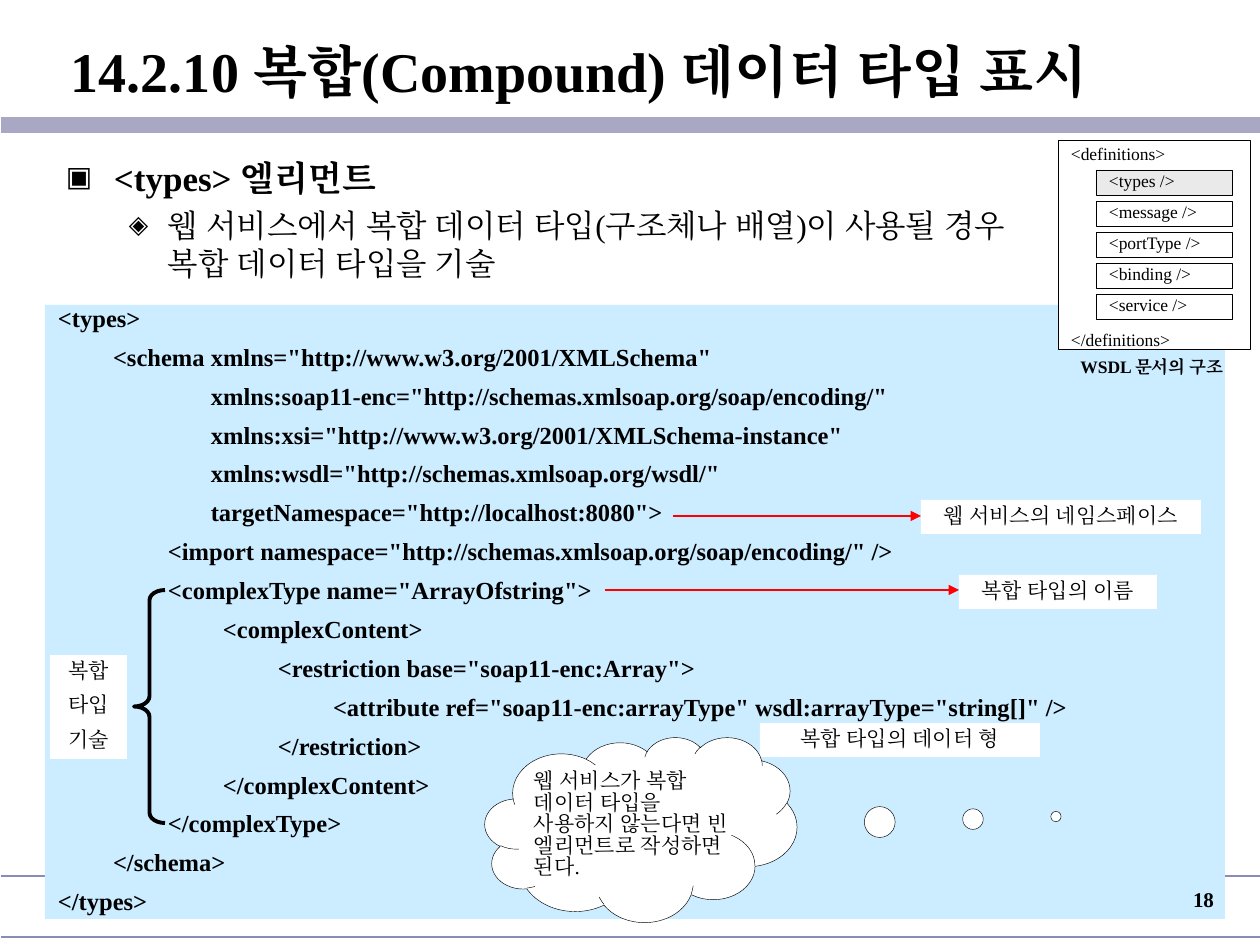
import lxml.etree
import pptx
import pptx.dml.color
import pptx.enum.shapes
import pptx.enum.text
import pptx.oxml.ns
import pptx.util

SCALE = 914400 / 126
FONT = "Times New Roman"
SHAPES = pptx.enum.shapes.MSO_SHAPE
ALIGN = pptx.enum.text.PP_ALIGN
ANCHOR = pptx.enum.text.MSO_ANCHOR

CODE_LINES = [
    "<types>",
    "\t<schema xmlns=\"http://www.w3.org/2001/XMLSchema\"",
    "\t\t       xmlns:soap11-enc=\"http://schemas.xmlsoap.org/soap/encoding/\"",
    "\t\t       xmlns:xsi=\"http://www.w3.org/2001/XMLSchema-instance\"",
    "\t\t       xmlns:wsdl=\"http://schemas.xmlsoap.org/wsdl/\"",
    "\t\t       targetNamespace=\"http://localhost:8080\">",
    "\t\t<import namespace=\"http://schemas.xmlsoap.org/soap/encoding/\" />",
    "\t\t<complexType name=\"ArrayOfstring\">",
    "\t\t\t<complexContent>",
    "\t\t\t\t<restriction base=\"soap11-enc:Array\">",
    "\t\t\t\t\t<attribute ref=\"soap11-enc:arrayType\" wsdl:arrayType=\"string[]\" />",
    "\t\t\t\t</restriction>",
    "\t\t\t</complexContent>",
    "\t\t</complexType>",
    "\t</schema>",
    "</types>",
]


def px(length):
    return pptx.util.Emu(round(length * SCALE))


def color(hex_string):
    return pptx.dml.color.RGBColor.from_string(hex_string)


def add_element(parent, tag, **attributes):
    return lxml.etree.SubElement(parent, pptx.oxml.ns.qn(tag), attributes)


def write_text(frame, lines, size=12, bold=False, align=ALIGN.LEFT, anchor=ANCHOR.TOP,
               spacing=0.85, before=0, wrap=True, margins=(13, 6, 13, 6)):
    frame.word_wrap = wrap
    frame.vertical_anchor = anchor
    frame.margin_left, frame.margin_top, frame.margin_right, frame.margin_bottom = map(px, margins)
    for index, line in enumerate(lines):
        paragraph = frame.add_paragraph() if index else frame.paragraphs[0]
        paragraph.alignment = align
        paragraph.line_spacing = spacing
        paragraph.space_before = pptx.util.Pt(before if index else 0)
        run = paragraph.add_run()
        run.text = line
        run.font.size = pptx.util.Pt(size)
        run.font.bold = bold
        run.font.color.rgb = color("000000")
        run.font.name = FONT
        add_element(run._r.get_or_add_rPr(), "a:ea", typeface=FONT)
    return frame.paragraphs


def add_text(slide, box, lines, **text_format):
    frame = slide.shapes.add_textbox(*map(px, box)).text_frame
    return write_text(frame, lines, **text_format)


def add_box(slide, box, fill="FFFFFF", outline=None, width=0.25, kind=SHAPES.RECTANGLE):
    shape = slide.shapes.add_shape(kind, *map(px, box))
    shape.shadow.inherit = False
    if fill:
        shape.fill.solid()
        shape.fill.fore_color.rgb = color(fill)
    else:
        shape.fill.background()
    if outline:
        shape.line.color.rgb = color(outline)
        shape.line.width = pptx.util.Pt(width)
    else:
        shape.line.fill.background()
    return shape


def add_line(slide, left, right, top, hex_string, width, arrow=False):
    connector = slide.shapes.add_connector(
        pptx.enum.shapes.MSO_CONNECTOR.STRAIGHT, px(left), px(top), px(right), px(top))
    connector.line.color.rgb = color(hex_string)
    connector.line.width = pptx.util.Pt(width)
    properties = connector._element.spPr
    if arrow:
        add_element(properties.find(pptx.oxml.ns.qn("a:ln")), "a:tailEnd", type="triangle")
    add_element(properties, "a:effectLst")


def add_title(slide, box, text):
    title = slide.shapes.title
    title.left, title.top, title.width, title.height = map(px, box)
    write_text(title.text_frame, [text], size=32, bold=True, anchor=ANCHOR.MIDDLE,
               spacing=1.0, margins=(70, 6, 13, 6))


def add_bullets(slide, box, heading, detail):
    paragraphs = add_text(slide, box, [heading, detail], size=20, bold=True,
                          spacing=1.0, before=4.5)
    paragraphs[1].runs[0].font.size = pptx.util.Pt(18)
    paragraphs[1].runs[0].font.bold = False
    for paragraph, symbol, margin, hanging in zip(paragraphs, "▣◈", (48, 102), (48, 39)):
        properties = paragraph._p.get_or_add_pPr()
        properties.set("marL", str(px(margin)))
        properties.set("indent", str(-px(hanging)))
        add_element(add_element(properties, "a:buClr"), "a:srgbClr", val="000000")
        add_element(properties, "a:buSzPct", val="80000")
        add_element(properties, "a:buFont", typeface=FONT)
        add_element(properties, "a:buChar", char=symbol)


def add_code(slide, box, lines):
    frame = add_box(slide, box, fill="CCECFF").text_frame
    paragraphs = write_text(frame, lines, size=14, bold=True, anchor=ANCHOR.MIDDLE,
                            spacing=0.8, before=8.8)
    for paragraph in paragraphs:
        tabs = add_element(paragraph._p.get_or_add_pPr(), "a:tabLst")
        for step in range(1, 6):
            add_element(tabs, "a:tab", pos=str(px(55 * step)), algn="l")


def add_label(slide, box, lines):
    write_text(add_box(slide, box).text_frame, lines, align=ALIGN.CENTER, before=7.5)


def add_annotations(slide, left, top):
    add_label(slide, (left + 876, top + 195, 280, 34), ["웹 서비스의 네임스페이스"])
    add_label(slide, (left + 914, top + 270, 198, 34), ["복합 타입의 이름"])
    add_label(slide, (left + 715, top + 418, 280, 34), ["복합 타입의 데이터 형"])
    add_label(slide, (left + 5, top + 350, 77, 104), ["복합", "타입", "기술"])
    add_line(slide, left + 628, left + 876, top + 211, "FF0000", 1.5, arrow=True)
    add_line(slide, left + 560, left + 914, top + 285, "FF0000", 1.5, arrow=True)
    brace = add_box(slide, (left + 89, top + 285, 31, 233), fill=None,
                    outline="000000", width=2.25, kind=SHAPES.LEFT_BRACE)
    brace.adjustments[0] = 0.33


def add_cloud(slide, box, text):
    cloud = add_box(slide, box, outline="000000", kind=SHAPES.CLOUD_CALLOUT)
    cloud.adjustments[0] = 1.33
    cloud.adjustments[1] = -0.07
    write_text(cloud.text_frame, [text], anchor=ANCHOR.MIDDLE, margins=(6, 6, 0, 6))


def add_structure(slide, left, top):
    outer = add_box(slide, (left, top, 192, 209), outline="000000")
    write_text(outer.text_frame, ["<definitions>", "</definitions>"], size=10, before=96.5)
    for index, name in enumerate(["types", "message", "portType", "binding", "service"]):
        part = add_box(slide, (left + 38, top + 30 + 31 * index, 136, 25),
                       fill="FFFFFF" if index else "EAEAEA", outline="000000")
        write_text(part.text_frame, [f"<{name} />"], size=10, anchor=ANCHOR.MIDDLE)
    add_text(slide, (left + 7, top + 213, 174, 30), ["WSDL 문서의 구조"], size=10,
             bold=True, align=ALIGN.CENTER, wrap=False)


def main():
    presentation = pptx.Presentation()
    presentation.slide_width = px(1260)
    presentation.slide_height = px(945)
    slide = presentation.slides.add_slide(presentation.slide_layouts[5])
    add_line(slide, 1, 1260, 125, "A8A8C4", 9.25)
    add_line(slide, 1, 1260, 876, "8C8CB2", 1)
    add_title(slide, (1, 14, 1259, 113), "14.2.10 복합(Compound) 데이터 타입 표시")
    add_bullets(slide, (53, 150, 1018, 142), "<types> 엘리먼트",
                "웹 서비스에서 복합 데이터 타입(구조체나 배열)이 사용될 경우 복합 데이터 타입을 기술")
    add_code(slide, (45, 305, 1180, 614), CODE_LINES)
    add_annotations(slide, 45, 305)
    add_line(slide, 1, 1260, 937, "8C8CB2", 1)
    add_cloud(slide, (485, 737, 312, 185),
              "웹 서비스가 복합 데이터 타입을 사용하지 않는다면 빈 엘리먼트로 작성하면 된다.")
    add_structure(slide, 1058, 140)
    add_text(slide, (965, 881, 262, 63), ["18"], bold=True, align=ALIGN.RIGHT, spacing=1.0)
    presentation.save("out.pptx")


if __name__ == "__main__":
    main()
